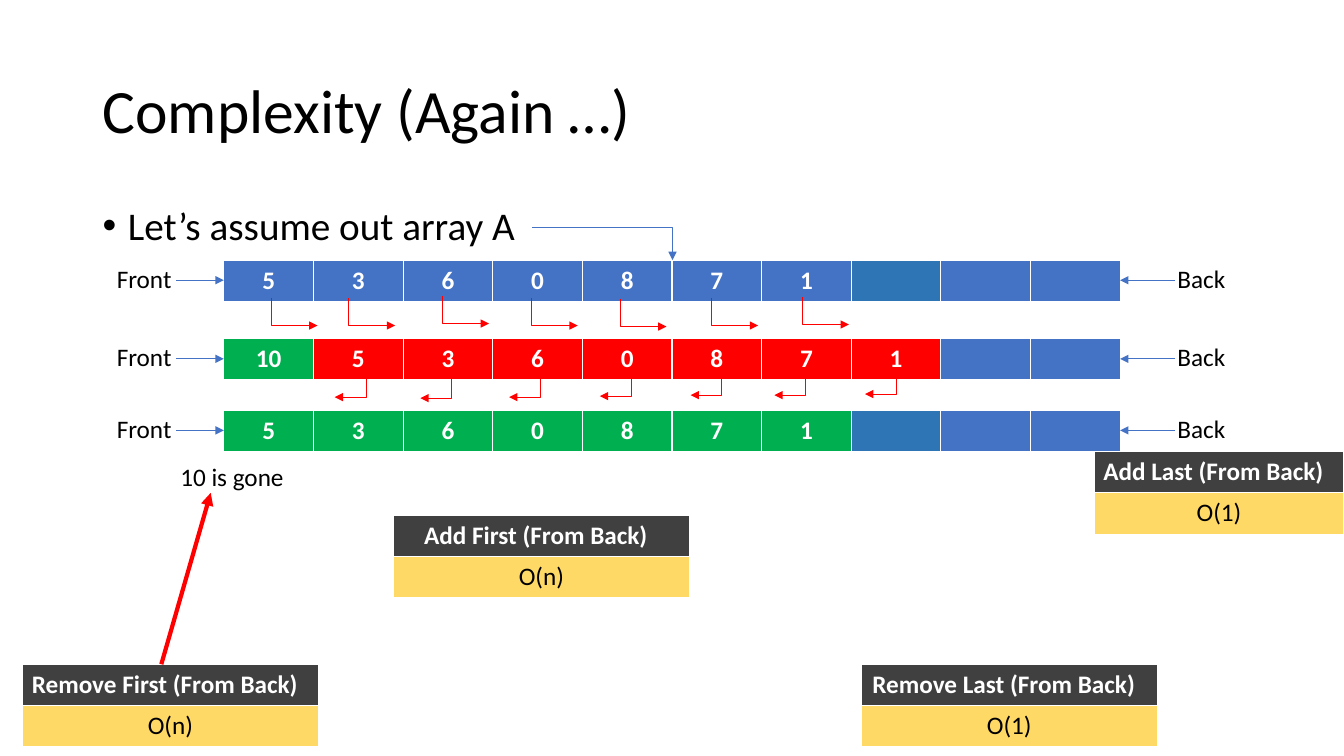
from lxml import etree
from pptx import Presentation
from pptx.dml.color import RGBColor
from pptx.enum.shapes import MSO_CONNECTOR
from pptx.enum.text import MSO_ANCHOR, PP_ALIGN
from pptx.oxml.ns import qn
from pptx.util import Inches, Pt

STRAIGHT, ELBOW = MSO_CONNECTOR.STRAIGHT, MSO_CONNECTOR.ELBOW
TOP, MIDDLE = MSO_ANCHOR.TOP, MSO_ANCHOR.MIDDLE
CENTER = PP_ALIGN.CENTER

BLACK = RGBColor(0x00, 0x00, 0x00)
WHITE = RGBColor(0xFF, 0xFF, 0xFF)
BLUE = RGBColor(0x44, 0x72, 0xC4)
DARK_BLUE = RGBColor(0x2E, 0x75, 0xB6)
RED = RGBColor(0xFF, 0x00, 0x00)
GREEN = RGBColor(0x00, 0xB0, 0x50)
CHARCOAL = RGBColor(0x40, 0x40, 0x40)
YELLOW = RGBColor(0xFF, 0xD9, 0x66)

ROW_HEIGHT = 0.41
ARRAY_LEFT, ARRAY_WIDTH = 2.22, 8.89


class SlideBuilder:
    """Holds the shared text style and draws on one slide."""

    font_name = "Calibri"
    text_size = 18

    def __init__(self, slide):
        self.slide = slide

    def style(self, paragraph, size=text_size, color=BLACK, bold=False):
        font = paragraph.font
        font.name, font.size, font.bold = self.font_name, Pt(size), bold
        font.color.rgb = color

    def text(self, box, words, size=text_size, wrap=False, anchor=TOP):
        frame = self.slide.shapes.add_textbox(*map(Inches, box)).text_frame
        frame.word_wrap = wrap
        frame.vertical_anchor = anchor
        paragraph = frame.paragraphs[0]
        paragraph.text = words
        self.style(paragraph, size)
        return paragraph

    def bullet(self, box, words, size):
        paragraph = self.text(box, words, size, wrap=True)
        paragraph.line_spacing = 0.9
        paragraph.space_before = Pt(10)
        properties = paragraph._p.get_or_add_pPr()
        properties.set("marL", str(Inches(0.25)))
        properties.set("indent", str(-Inches(0.25)))
        mark_font = etree.Element(qn("a:buFont"), typeface="Arial")
        mark = etree.Element(qn("a:buChar"), char="•")
        properties.find(qn("a:spcBef")).addnext(mark_font)
        mark_font.addnext(mark)

    def table(self, left, top, width, rows, columns):
        frame = self.slide.shapes.add_table(
            rows, columns, Inches(left), Inches(top),
            Inches(width), Inches(ROW_HEIGHT * rows))
        frame.table.horz_banding = False
        return frame.table

    def cell(self, cell, words, fill, color=WHITE, bold=True):
        cell.fill.solid()
        cell.fill.fore_color.rgb = fill
        paragraph = cell.text_frame.paragraphs[0]
        paragraph.text = words
        paragraph.alignment = CENTER
        self.style(paragraph, color=color, bold=bold)

    def array(self, top, values, fills):
        grid = self.table(ARRAY_LEFT, top, ARRAY_WIDTH, 1, len(fills))
        for index, fill in enumerate(fills):
            value = values[index] if index < len(values) else ""
            self.cell(grid.cell(0, index), value, fill)
        # Ends of the array
        middle = top + 0.2
        right = ARRAY_LEFT + ARRAY_WIDTH
        self.text((1.06, top - 0.02, 0.75, 0.4), "Front")
        self.arrow((1.75, middle), (ARRAY_LEFT, middle), BLUE)
        self.text((11.58, top - 0.02, 0.68, 0.4), "Back")
        self.arrow((11.65, middle), (right, middle), BLUE)

    def cost(self, left, top, width, operation, order):
        card = self.table(left, top, width, 2, 1)
        heading = card.cell(0, 0)
        heading.margin_left, heading.margin_right = Inches(0.04), Inches(0.15)
        self.cell(heading, operation, CHARCOAL)
        self.cell(card.cell(1, 0), order, YELLOW, BLACK, bold=False)

    def arrow(self, start, end, color, weight=0.5, kind=STRAIGHT):
        connector = self.slide.shapes.add_connector(
            kind, *map(Inches, (*start, *end)))
        connector.line.color.rgb = color
        connector.line.width = Pt(weight)
        line = connector.line._get_or_add_ln()
        etree.SubElement(line, qn("a:tailEnd"), type="triangle")
        etree.SubElement(connector._element.spPr, qn("a:effectLst"))
        return connector._element.spPr.find(qn("a:prstGeom"))

    def across_then_down(self, start, end, color):
        self.arrow(start, end, color, kind=ELBOW).set("prst", "bentConnector2")

    def down_then_across(self, start, dx, dy, color):
        end = (start[0] + dx, start[1] + dy)
        geometry = self.arrow(start, end, color, kind=ELBOW)
        guides = geometry.find(qn("a:avLst"))
        if guides is None:
            guides = etree.SubElement(geometry, qn("a:avLst"))
        etree.SubElement(guides, qn("a:gd"), name="adj1", fmla="val 0")


def main():
    deck = Presentation()
    deck.slide_width, deck.slide_height = Inches(13.33), Inches(7.5)
    page = SlideBuilder(deck.slides.add_slide(deck.slide_layouts[6]))

    # Title and opening line
    title = page.text((0.92, 0.4, 11.5, 1.45), "Complexity (Again …)",
                      44, wrap=True, anchor=MIDDLE)
    title.line_spacing = 0.9
    page.bullet((0.92, 2, 11.5, 4.76), "Let’s assume out array A", 28)

    # Array at the start, after adding 10, and after removing it
    numbers = ["5", "3", "6", "0", "8", "7", "1"]
    count = len(numbers)
    spare = [DARK_BLUE, BLUE, BLUE]
    page.array(2.58, numbers, [BLUE] * count + spare)
    page.array(3.36, ["10"] + numbers, [GREEN] + [RED] * count + [BLUE] * 2)
    page.array(4.07, numbers, [GREEN] * count + spare)
    page.across_then_down((5.28, 2.26), (6.67, 2.58), BLUE)

    # Each number moves one place towards the back
    for start in ((2.69, 2.96), (3.46, 2.96), (4.39, 2.94), (5.27, 2.96),
                  (6.15, 2.97), (7.06, 2.96), (7.96, 2.95)):
        page.down_then_across(start, 0.46, 0.27, RED)

    # Each number moves one place towards the front
    for start in ((3.63, 3.74), (4.48, 3.75), (5.36, 3.74), (6.26, 3.73),
                  (7.16, 3.72), (7.99, 3.72), (8.89, 3.71)):
        page.down_then_across(start, -0.31, 0.2, RED)

    # Cost of each operation
    for left, top, width, operation, order in (
            (8.54, 6.59, 2.94, "Remove Last (From Back)", "O(1)"),
            (3.9, 5.11, 2.94, "Add First (From Back)", "O(n)"),
            (10.85, 4.48, 2.48, "Add Last (From Back)", "O(1)"),
            (0.22, 6.59, 2.94, "Remove First (From Back)", "O(n)")):
        page.cost(left, top, width, operation, order)

    # Effect of removing the first number
    page.arrow((1.6, 6.59), (2.09, 4.89), RED, weight=3)
    page.text((1.69, 4.53, 1.24, 0.4), "10 is gone")

    deck.save("out.pptx")


if __name__ == "__main__":
    main()
